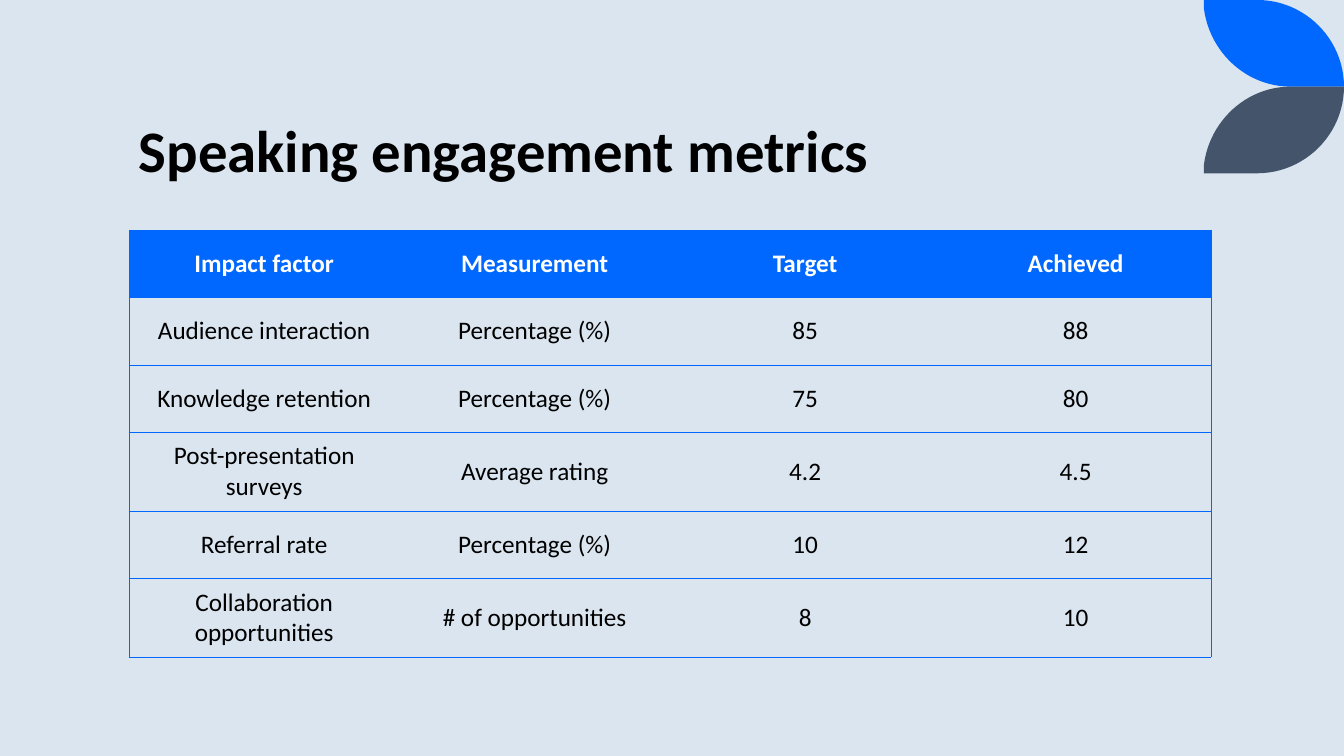
from lxml import etree
from pptx import Presentation
from pptx.dml.color import RGBColor
from pptx.enum.text import MSO_ANCHOR, PP_ALIGN
from pptx.oxml.ns import qn
from pptx.util import Inches, Pt

CENTER = PP_ALIGN.CENTER
MIDDLE, BOTTOM = MSO_ANCHOR.MIDDLE, MSO_ANCHOR.BOTTOM
FONT = "Calibri"
BLUE, SLATE, PALE = "0068FF", "44546A", "DAE5EF"
BLACK, WHITE = "000000", "FFFFFF"
BORDER_WIDTH = Pt(0.23)

METRICS = [
    ("Impact factor", "Measurement", "Target", "Achieved"),
    ("Audience interaction", "Percentage (%)", "85", "88"),
    ("Knowledge retention", "Percentage (%)", "75", "80"),
    ("Post-presentation surveys", "Average rating", "4.2", "4.5"),
    ("Referral rate", "Percentage (%)", "10", "12"),
    ("Collaboration opportunities", "# of opportunities", "8", "10"),
]
ROW_HEIGHTS = [0.67, 0.67, 0.67, 0.78, 0.67, 0.78]


def rgb(color):
    return RGBColor.from_string(color)


def set_font(p, size, color, bold):
    p.font.name = FONT
    p.font.size = Pt(size)
    p.font.bold = bold
    p.font.color.rgb = rgb(color)


def curve(points, steps=24):
    """Points along a cubic Bezier curve."""
    weights = [((1 - t) ** 3, 3 * t * (1 - t) ** 2, 3 * t * t * (1 - t), t ** 3)
               for t in (i / steps for i in range(steps + 1))]
    return [tuple(sum(w * pt[axis] for w, pt in zip(ws, points)) for axis in (0, 1))
            for ws in weights]


def add_leaf(slide, left, top, width, height, color, flipped=False):
    # Outline in fractions of the box
    outline = [(0, 0)]
    outline += curve([(0.38, 0), (0.72, 0), (1, 0.45), (1, 1)])
    outline += curve([(0.62, 1), (0.3, 1), (0.04, 0.6), (0, 0.1)])
    points = [(Inches(left + x * width),
               Inches(top + (1 - y if flipped else y) * height)) for x, y in outline]
    builder = slide.shapes.build_freeform(*points[0], scale=1.0)
    builder.add_line_segments(points[1:], close=True)
    sp = builder.convert_to_shape()
    sp.shadow.inherit = False
    sp.fill.solid()
    sp.fill.fore_color.rgb = rgb(color)
    sp.line.fill.background()


def add_leaves(slide, left, top, width, height):
    half = height / 2
    add_leaf(slide, left, top, width, half, BLUE)
    add_leaf(slide, left, top + half, width, half, SLATE, flipped=True)


def add_title(slide, left, top, width, height, text):
    tf = slide.shapes.add_textbox(*map(Inches, (left, top, width, height))).text_frame
    tf.word_wrap = True
    tf.vertical_anchor = BOTTOM
    p = tf.paragraphs[0]
    p.text = text
    p.line_spacing = 0.8
    set_font(p, 42, BLACK, True)


def set_borders(cell, first, last):
    """Horizontal rules everywhere, vertical ones on the outer edges only."""
    tc_pr = cell._tc.get_or_add_tcPr()
    sides = [("a:lnL", first), ("a:lnR", last), ("a:lnT", True), ("a:lnB", True)]
    for i, (tag, visible) in enumerate(sides):
        ln = etree.Element(qn(tag), w=str(BORDER_WIDTH))
        if visible:
            fill = etree.SubElement(ln, qn("a:solidFill"))
            etree.SubElement(fill, qn("a:srgbClr"), val=BLUE)
        else:
            etree.SubElement(ln, qn("a:noFill"))
        tc_pr.insert(i, ln)


def add_metrics_table(slide, left, top, width, rows):
    n_cols = len(rows[0])
    table = slide.shapes.add_table(
        len(rows), n_cols, *map(Inches, (left, top, width, sum(ROW_HEIGHTS)))).table
    table.horz_banding = False
    for col in table.columns:
        col.width = Inches(width / n_cols)
    for r, values in enumerate(rows):
        header = r == 0
        table.rows[r].height = Inches(ROW_HEIGHTS[r])
        for c, value in enumerate(values):
            cell = table.cell(r, c)
            cell.vertical_anchor = MIDDLE
            if header:
                cell.fill.solid()
                cell.fill.fore_color.rgb = rgb(BLUE)
            else:
                cell.fill.background()
            set_borders(cell, c == 0, c == n_cols - 1)
            p = cell.text_frame.paragraphs[0]
            p.text = value
            p.alignment = CENTER
            set_font(p, 18, WHITE if header else BLACK, header)


def main():
    prs = Presentation()
    prs.slide_width, prs.slide_height = Inches(13.34), Inches(7.5)
    slide = prs.slides.add_slide(prs.slide_layouts[6])
    slide.background.fill.solid()
    slide.background.fill.fore_color.rgb = rgb(PALE)

    add_leaves(slide, 11.95, 0, 1.39, 1.72)
    add_title(slide, 1.28, 0.15, 10.7, 1.72, "Speaking engagement metrics")
    add_metrics_table(slide, 1.28, 2.28, 10.74, METRICS)
    prs.save("out.pptx")


if __name__ == "__main__":
    main()
